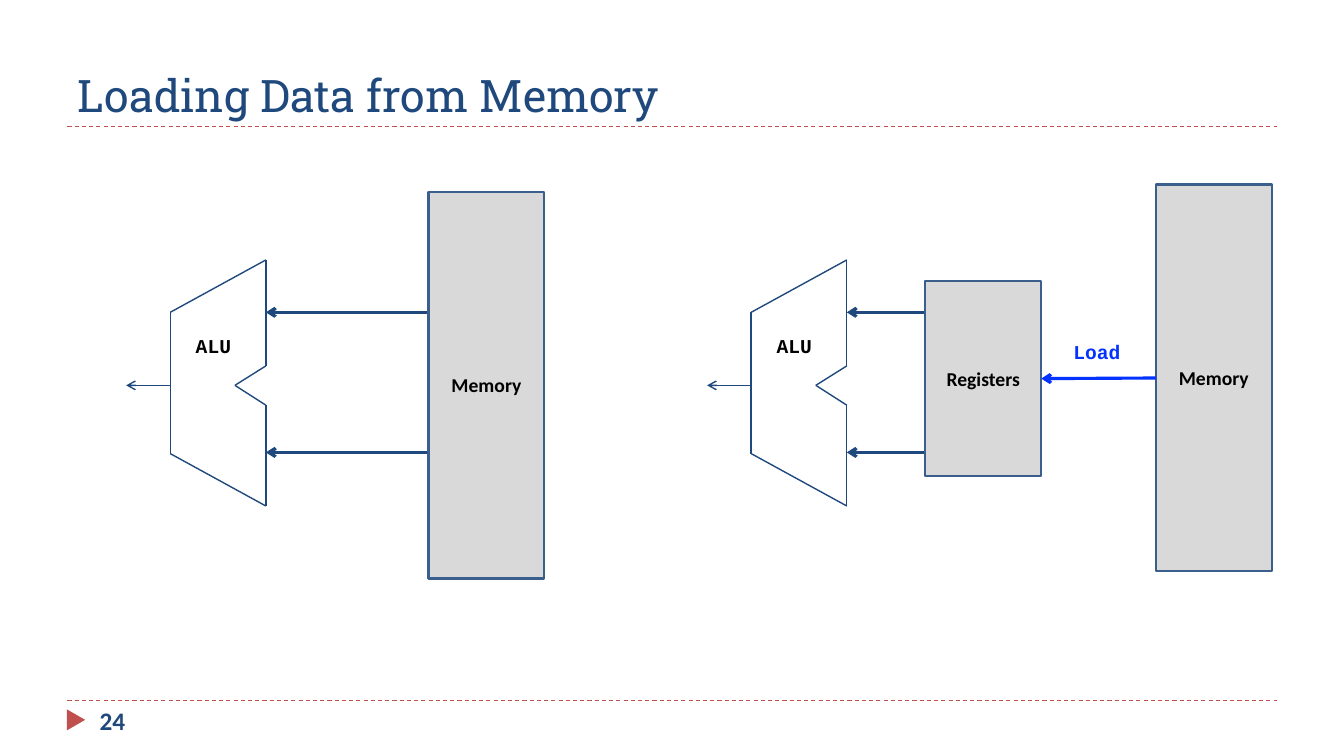
from lxml.etree import SubElement
from pptx import Presentation
from pptx.dml.color import RGBColor
from pptx.enum.dml import MSO_LINE
from pptx.enum.shapes import MSO_CONNECTOR, MSO_SHAPE
from pptx.enum.text import MSO_ANCHOR, MSO_AUTO_SIZE, PP_ALIGN
from pptx.oxml.ns import qn
from pptx.util import Cm, Pt

COLORS = {
    "navy": "1F497D",
    "red": "C0504D",
    "gray": "D9D9D9",
    "border": "3A5F8C",
    "blue": "0432FF",
    "black": "000000",
}
TITLE_FONT, BODY_FONT, CODE_FONT = "Roboto Slab", "Calibri", "Courier New"

# ALU geometry: x is measured from its left side
ALU_WIDTH = 2.41
ALU_OUTLINE = [(0, 7.87), (ALU_WIDTH, 6.55), (ALU_WIDTH, 9.22), (1.63, 9.71),
               (ALU_WIDTH, 10.21), (ALU_WIDTH, 12.75), (0, 11.43)]
ALU_MIDDLE = 9.71
INPUT_ROWS = (7.87, 11.4)
BLOCK_WIDTH, MEMORY_HEIGHT = 2.92, 9.75

# Connection sites of a rectangle
LEFT_SIDE, RIGHT_SIDE = 1, 3


def color(name):
    return RGBColor.from_string(COLORS[name])


class DiagramSlide:
    def __init__(self, presentation):
        self.slide = presentation.slides.add_slide(presentation.slide_layouts[5])
        self.shapes = self.slide.shapes

    def add_text(self, shape, text, size, font, text_color, bold=False,
                 align=PP_ALIGN.LEFT, anchor=MSO_ANCHOR.TOP):
        frame = shape.text_frame
        frame.vertical_anchor = anchor
        paragraph = frame.paragraphs[0]
        paragraph.alignment = align
        run = paragraph.add_run()
        run.text = text
        run.font.size = Pt(size)
        run.font.name = font
        run.font.bold = bold
        run.font.color.rgb = color(text_color)

    def title(self, text):
        shape = self.shapes.title
        shape.left, shape.top, shape.width, shape.height = Cm(1.7), Cm(0.64), Cm(30.48), Cm(2.54)
        shape.text_frame.auto_size = MSO_AUTO_SIZE.NONE
        self.add_text(shape, text, 32, TITLE_FONT, "navy", anchor=MSO_ANCHOR.BOTTOM)

    def label(self, text, left, top, width, size=14, font=CODE_FONT,
              text_color="black", align=PP_ALIGN.LEFT, wrap=True):
        shape = self.shapes.add_textbox(Cm(left), Cm(top), Cm(width), Cm(1.02))
        shape.text_frame.word_wrap = wrap
        shape.text_frame.auto_size = MSO_AUTO_SIZE.SHAPE_TO_FIT_TEXT
        self.add_text(shape, text, size, font, text_color, True, align)

    def line(self, start, end, line_color="navy", width=1.0, dashed=False, arrow=False):
        connector = self.shapes.add_connector(
            MSO_CONNECTOR.STRAIGHT, *(Cm(value) for value in (*start, *end)))
        connector.line.color.rgb = color(line_color)
        connector.line.width = Pt(width)
        if dashed:
            connector.line.dash_style = MSO_LINE.DASH
        properties = connector._element.spPr
        if arrow:
            SubElement(properties.find(qn("a:ln")), qn("a:headEnd"), type="arrow")
        SubElement(properties, qn("a:effectLst"))
        return connector

    def block(self, text, left, top, height):
        shape = self.shapes.add_shape(
            MSO_SHAPE.RECTANGLE, Cm(left), Cm(top), Cm(BLOCK_WIDTH), Cm(height))
        shape.shadow.inherit = False
        shape.fill.solid()
        shape.fill.fore_color.rgb = color("gray")
        shape.line.color.rgb = color("border")
        shape.line.width = Pt(1.5)
        self.add_text(shape, text, 14, BODY_FONT, "black", True,
                      PP_ALIGN.CENTER, MSO_ANCHOR.MIDDLE)
        return shape

    def alu(self, left, source_left):
        """Draw an ALU fed by the block whose left side is at source_left."""
        points = [(left + x, y) for x, y in ALU_OUTLINE]
        for start, end in zip(points, points[1:] + points[:1]):
            self.line(start, end)
        self.line((left - 1.11, ALU_MIDDLE), (left, ALU_MIDDLE), arrow=True)
        for row in INPUT_ROWS:
            self.line((left + ALU_WIDTH, row), (source_left, row), width=2.25, arrow=True)
        self.label("ALU", left + 0.1, 8.28, 1.98, align=PP_ALIGN.CENTER)

    def frame(self, number):
        for y in (17.65, 3.18):
            self.line((1.7, y), (32.18, y), "red", 0.75, dashed=True)
        marker = self.shapes.add_shape(
            MSO_SHAPE.ISOSCELES_TRIANGLE, Cm(1.65), Cm(17.91), Cm(0.53), Cm(0.46))
        marker.rotation = 90
        marker.shadow.inherit = False
        marker.fill.solid()
        marker.fill.fore_color.rgb = color("red")
        marker.line.fill.background()
        self.label(number, 2.26, 17.65, 7.34, 18, BODY_FONT, "navy")


def main():
    presentation = Presentation()
    presentation.slide_width, presentation.slide_height = Cm(33.87), Cm(19.05)
    diagram = DiagramSlide(presentation)

    # Title, rules and page number
    diagram.frame("24")
    diagram.title("Loading Data from Memory")

    # Left: ALU reads memory directly
    memory_left = 10.8
    diagram.alu(4.29, memory_left)
    diagram.block("Memory", memory_left, 4.83, MEMORY_HEIGHT)

    # Right: ALU reads registers, which are loaded from memory
    registers_left = 23.32
    diagram.alu(18.93, registers_left)
    memory = diagram.block("Memory", 29.13, 4.65, MEMORY_HEIGHT)
    registers = diagram.block("Registers", registers_left, 7.09, 4.9)
    load = diagram.line((26.24, 9.53), (29.13, 9.53), "blue", 2.25, arrow=True)
    load.begin_connect(registers, RIGHT_SIDE)
    load.end_connect(memory, LEFT_SIDE)
    diagram.label("Load", 26.8, 8.43, 2.01, text_color="blue", wrap=False)

    presentation.save("out.pptx")


if __name__ == "__main__":
    main()
